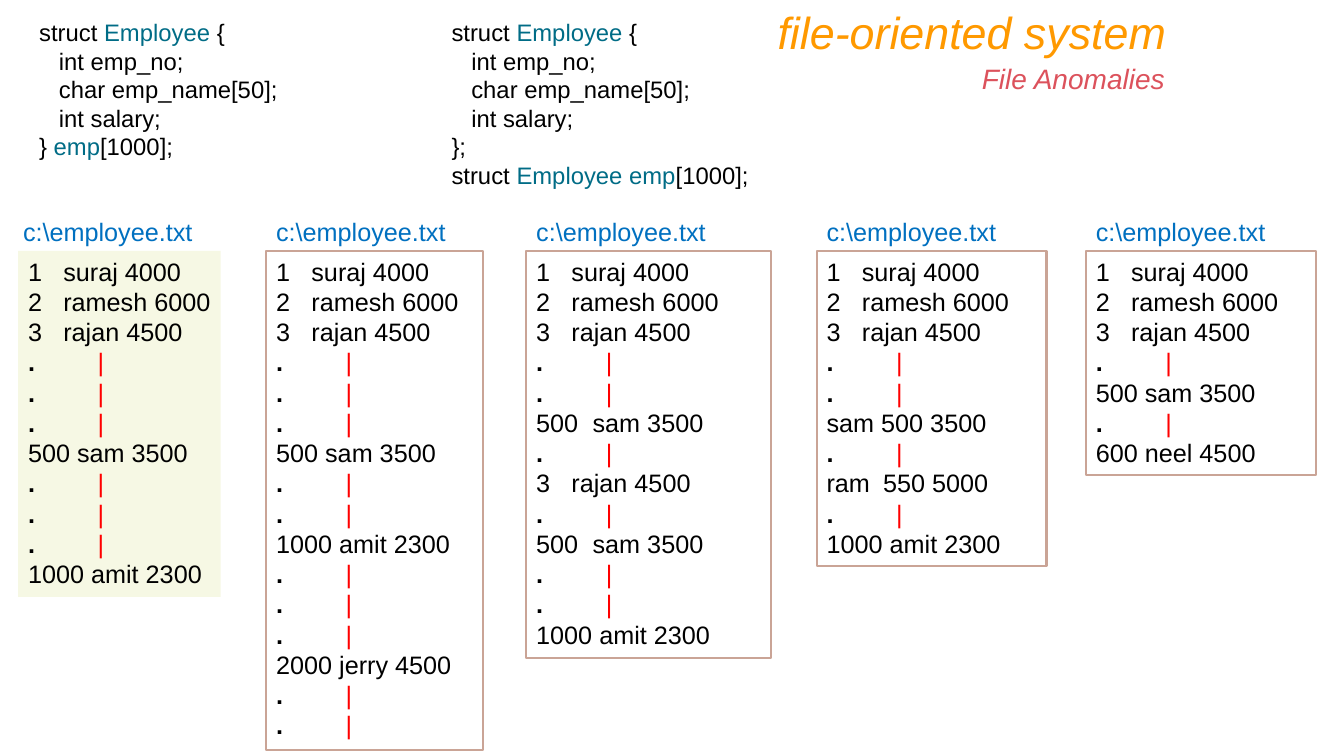
from dataclasses import dataclass

from lxml.etree import SubElement
from pptx import Presentation
from pptx.dml.color import RGBColor
from pptx.enum.shapes import MSO_SHAPE
from pptx.enum.text import MSO_ANCHOR, MSO_AUTO_SIZE, PP_ALIGN
from pptx.oxml.ns import qn
from pptx.util import Inches, Pt


@dataclass(frozen=True)
class Theme:
    font: str = "Arial"
    text: str = "000000"
    title: str = "FF9900"
    subtitle: str = "DC525C"
    accent: str = "006C86"
    label: str = "0070C0"
    bar: str = "FF0000"
    panel_fill: str = "F6F8E4"
    panel_line: str = "CAA496"
    title_size: int = 32
    subtitle_size: int = 20
    code_size: int = 17
    file_size: int = 18
    leading: float = 1.2


class SlideBuilder:
    RECORD_TAB, BAR_TAB, WIDE_TAB = 0.35, 0.69, 0.56
    ROW_HEIGHT = 0.303

    def __init__(self, page, theme):
        self.page = page
        self.theme = theme

    def add_spans(self, para, spans, size):
        """Add (text, format values) spans to one paragraph."""
        para.line_spacing = Pt(size * self.theme.leading)
        for text, changes in spans:
            span = para.add_run()
            span.text = text
            values = {"name": self.theme.font, "size": Pt(size), "bold": False,
                      "italic": False, "color": self.theme.text} | changes
            span.font.color.rgb = RGBColor.from_string(values.pop("color"))
            for name, value in values.items():
                setattr(span.font, name, value)

    def fill_box(self, box, lines, size):
        frame = box.text_frame
        for index, spans in enumerate(lines):
            para = frame.add_paragraph() if index else frame.paragraphs[0]
            self.add_spans(para, spans, size)

    def prepare(self, frame, right=0.05):
        values = {"word_wrap": True, "auto_size": MSO_AUTO_SIZE.NONE,
                  "vertical_anchor": MSO_ANCHOR.TOP, "margin_right": Inches(right)}
        for name, value in values.items():
            setattr(frame, name, value)

    def title(self, text, left, top, width, height):
        box = self.page.shapes.title
        place = {"left": left, "top": top, "width": width, "height": height}
        for name, value in place.items():
            setattr(box, name, Inches(value))
        self.prepare(box.text_frame, 0.1)
        style = {"color": self.theme.title, "italic": True}
        self.fill_box(box, [[(text, style)]], self.theme.title_size)
        box.text_frame.paragraphs[0].alignment = PP_ALIGN.RIGHT

    def text(self, lines, size, *place):
        box = self.page.shapes.add_textbox(*map(Inches, place))
        self.prepare(box.text_frame)
        self.fill_box(box, lines, size)

    def code(self, lines, *place):
        """Words between asterisks take the accent colour."""
        accent = {"color": self.theme.accent}
        spans = [[(part, accent if index % 2 else {})
                  for index, part in enumerate(line.split("*")) if part]
                 for line in lines]
        self.text(spans, self.theme.code_size, *place)

    def set_tab(self, para, position):
        tabs = SubElement(para._p.get_or_add_pPr(), qn("a:tabLst"))
        SubElement(tabs, qn("a:tab"), pos=str(Inches(position)), algn="l")

    def set_number(self, para, start):
        indent = Inches(self.WIDE_TAB)
        properties = para._p.get_or_add_pPr()
        properties.set("marL", str(indent))
        properties.set("indent", str(-indent))
        SubElement(properties, qn("a:buFont"), typeface=self.theme.font)
        SubElement(properties, qn("a:buAutoNum"), type="arabicPlain", startAt=start)

    def panel(self, rows, left, top, width, filled):
        height = len(rows) * self.ROW_HEIGHT + 0.1
        box = self.page.shapes.add_shape(
            MSO_SHAPE.RECTANGLE, *map(Inches, (left, top, width, height)))
        box.shadow.inherit = False
        if filled:
            box.fill.solid()
            box.fill.fore_color.rgb = RGBColor.from_string(self.theme.panel_fill)
            box.line.fill.background()
        else:
            box.fill.background()
            box.line.color.rgb = RGBColor.from_string(self.theme.panel_line)
            box.line.width = Pt(1.5)
        self.prepare(box.text_frame)
        for index, row in enumerate(rows):
            para = box.text_frame.add_paragraph() if index else box.text_frame.paragraphs[0]
            para.alignment = PP_ALIGN.LEFT
            spans = [(row, {})]
            if row == ".":
                self.set_tab(para, self.BAR_TAB)
                spans = [(".", {"bold": True}), ("\t|", {"color": self.theme.bar})]
            elif row.startswith("#"):
                start, record = row[1:].split("\t")
                self.set_number(para, start)
                spans = [(record, {})]
            elif "\t" in row:
                short = row.index("\t") == 1
                self.set_tab(para, self.RECORD_TAB if short else self.WIDE_TAB)
            self.add_spans(para, spans, self.theme.file_size)


FIRST_RECORDS = ["1\tsuraj 4000", "2\tramesh 6000", "3\trajan 4500"]
LAST_RECORD = "1000 amit 2300"
GAP = ["."] * 3

# label left, panel left, panel width, rows after the first records
FILES = [
    (0.13, 0.18, 2.01, [*GAP, "500 sam 3500", *GAP, LAST_RECORD]),
    (2.64, 2.64, 2.15, [*GAP, "500 sam 3500", ".", ".", LAST_RECORD,
                        *GAP, "2000 jerry 4500", ".", "."]),
    (5.22, 5.22, 2.43, [".", ".", "500\tsam 3500", ".", "3\trajan 4500", ".",
                        "#500\tsam 3500", ".", ".", LAST_RECORD]),
    (8.1, 8.1, 2.28, [".", ".", "sam 500 3500", ".", "ram\t550 5000", ".", LAST_RECORD]),
    (10.77, 10.77, 2.28, [".", "500 sam 3500", ".", "600 neel 4500"]),
]

STRUCT = ["struct *Employee* {", "   int emp_no;", "   char emp_name[50];", "   int salary;"]


def main():
    deck = Presentation()
    deck.slide_width, deck.slide_height = Inches(13.33), Inches(7.5)
    theme = Theme()
    slide = SlideBuilder(deck.slides.add_slide(deck.slide_layouts[5]), theme)

    # Headings
    slide.title("file-oriented system", 1.67, 0, 10, 0.64)
    subtitle = ("File Anomalies", {"color": theme.subtitle, "italic": True})
    slide.text([[subtitle]], theme.subtitle_size, 9.64, 0.56, 2.03, 0.44)

    # Struct declarations
    slide.code([*STRUCT, "} *emp*[1000];"], 0.29, 0.13, 3.23, 1.53)
    slide.code([*STRUCT, "};", "struct *Employee emp*[1000];"], 4.38, 0.13, 4.25, 1.82)

    # File contents, the first one highlighted
    for index, (label_left, left, width, rows) in enumerate(FILES):
        label = (r"c:\employee.txt", {"color": theme.label})
        slide.text([[label]], theme.file_size, label_left, 2.1, width, 0.4)
        slide.panel(FIRST_RECORDS + rows, left, 2.49, width, filled=index == 0)

    deck.save("out.pptx")


if __name__ == "__main__":
    main()
